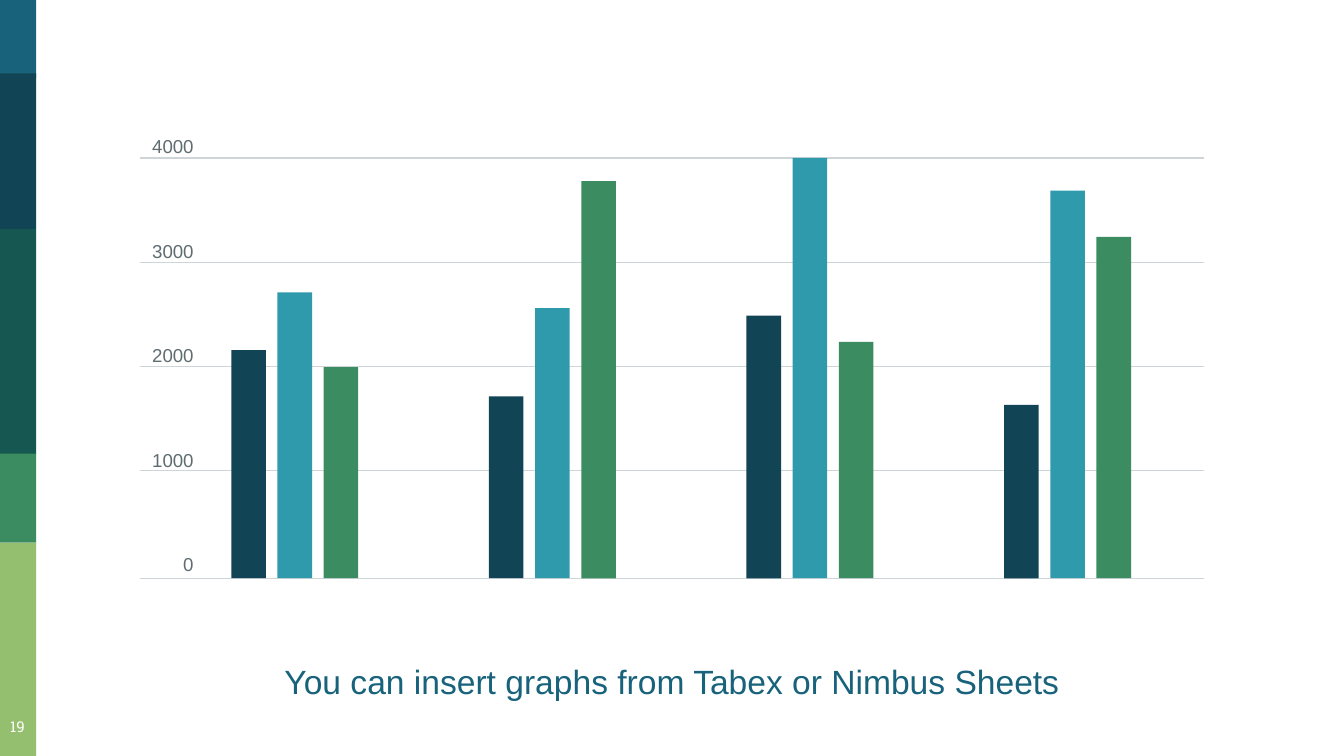
from lxml import etree
from pptx import Presentation
from pptx.dml.color import RGBColor
from pptx.enum.shapes import MSO_CONNECTOR, MSO_SHAPE
from pptx.enum.text import MSO_ANCHOR, PP_ALIGN
from pptx.oxml.ns import qn
from pptx.util import Inches, Pt

W = 10
H = W * 9 / 16
COLORS = {
    "blue": "18637B", "navy": "114454", "forest": "165751", "green": "3B8D61",
    "lime": "94BF6E", "teal": "309AAD", "rule": "CED5D8", "label": "5F6C70",
    "white": "FFFFFF",
}
# Side band: colour, top and height as shares of the slide height
BANDS = [("blue", 0, 0.103), ("navy", 0.097, 0.206), ("forest", 0.303, 0.298),
         ("green", 0.6, 0.118), ("lime", 0.718, 0.282)]
SERIES = ["navy", "teal", "green"]
GROUPS = [(2170, 2720, 2010), (1730, 2570, 3780),
          (2500, 4000, 2250), (1650, 3690, 3250)]
AXIS_MAX, AXIS_STEP = 4000, 1000


def rgb(name):
    return RGBColor.from_string(COLORS[name])


def add_rect(s, box, color):
    sp = s.shapes.add_shape(MSO_SHAPE.RECTANGLE, *map(Inches, box))
    sp.shadow.inherit = False
    sp.fill.solid()
    sp.fill.fore_color.rgb = rgb(color)
    sp.line.fill.background()


def add_rule(s, x1, x2, y):
    ln = s.shapes.add_connector(MSO_CONNECTOR.STRAIGHT,
                                *map(Inches, (x1, y, x2, y)))
    ln.line.color.rgb = rgb("rule")
    ln.line.width = Pt(0.75)
    etree.SubElement(ln._element.spPr, qn("a:effectLst"))


def write(sp, lines, inset, align, font, color, size, gap=0):
    """Fill a text shape with one paragraph per line, gap points apart."""
    tf = sp.text_frame
    frame = {"word_wrap": True, "vertical_anchor": MSO_ANCHOR.TOP}
    for side in ("left", "top", "right", "bottom"):
        frame["margin_" + side] = Inches(inset)
    for key, value in frame.items():
        setattr(tf, key, value)
    for i, line in enumerate(lines):
        p = tf.paragraphs[0] if i == 0 else tf.add_paragraph()
        p.alignment = align
        p.space_before = Pt(gap if i else 0)
        r = p.add_run()
        r.text = line
        for key, value in {"name": font, "size": Pt(size), "bold": False}.items():
            setattr(r.font, key, value)
        r.font.color.rgb = rgb(color)


def side_band(s, x, y, w, h):
    for color, top, share in BANDS:
        add_rect(s, (x, y + top * h, w, share * h), color)
    # Slide number
    sp = s.shapes.add_textbox(*map(Inches, (x - 0.06, y + h - 0.35, 0.38, 0.35)))
    write(sp, ["19"], 0.1, PP_ALIGN.CENTER, "Roboto Slab", "white", 8)


def bar_chart(s, x, y, w, h):
    # Gridlines: even steps above the baseline
    ticks = list(range(AXIS_MAX, -1, -AXIS_STEP))
    for i in range(len(ticks) - 1):
        add_rule(s, x, x + w, y + i * 0.248 * h)
    add_rule(s, x, x + w, y + h)

    # Axis labels stand on the gridlines
    sp = s.shapes.add_textbox(*map(Inches, (x, y - 0.17, 0.4, h + 0.17)))
    write(sp, [str(t) for t in ticks], 0, PP_ALIGN.RIGHT, "Arial", "label", 10, 44)

    # Bars, in groups of equal pitch
    first, group, pitch, bar = (share * w for share in (0.086, 0.242, 0.0434, 0.0325))
    for g, values in enumerate(GROUPS):
        for i, (color, value) in enumerate(zip(SERIES, values)):
            tall = h * value / AXIS_MAX
            add_rect(s, (x + first + g * group + i * pitch, y + h - tall, bar, tall),
                     color)


def caption(s, x, y, w, h):
    sp = s.shapes.title
    sp.left, sp.top, sp.width, sp.height = map(Inches, (x, y, w, h))
    write(sp, ["You can insert graphs from Tabex or Nimbus Sheets"],
          0.1, PP_ALIGN.CENTER, "Arial", "blue", 18)


def main():
    prs = Presentation()
    prs.slide_width, prs.slide_height = Inches(W), Inches(H)
    s = prs.slides.add_slide(prs.slide_layouts[5])
    side_band(s, 0, 0, 0.027 * W, H)
    caption(s, 0.05 * W, 0.857 * H, 0.9 * W, 0.101 * H)
    bar_chart(s, 0.104 * W, 0.209 * H, 0.792 * W, 0.556 * H)
    prs.save("out.pptx")


if __name__ == "__main__":
    main()
